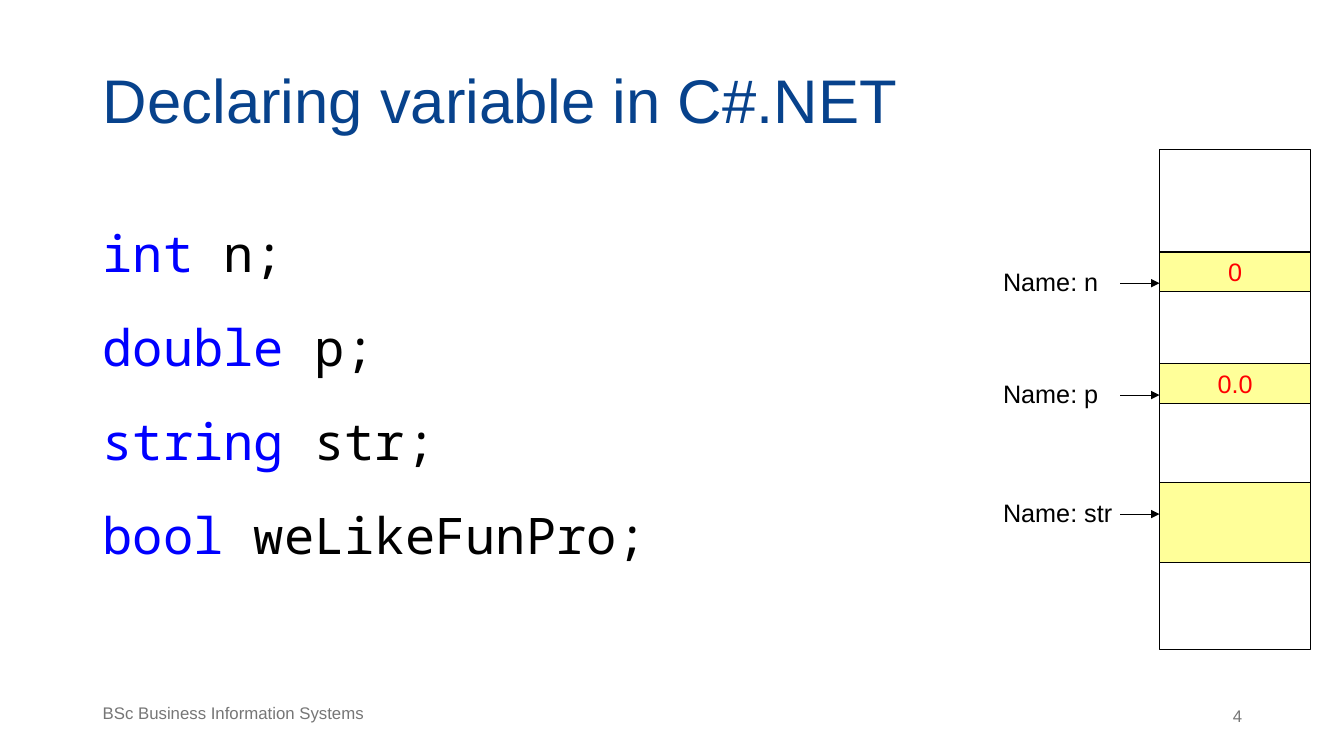
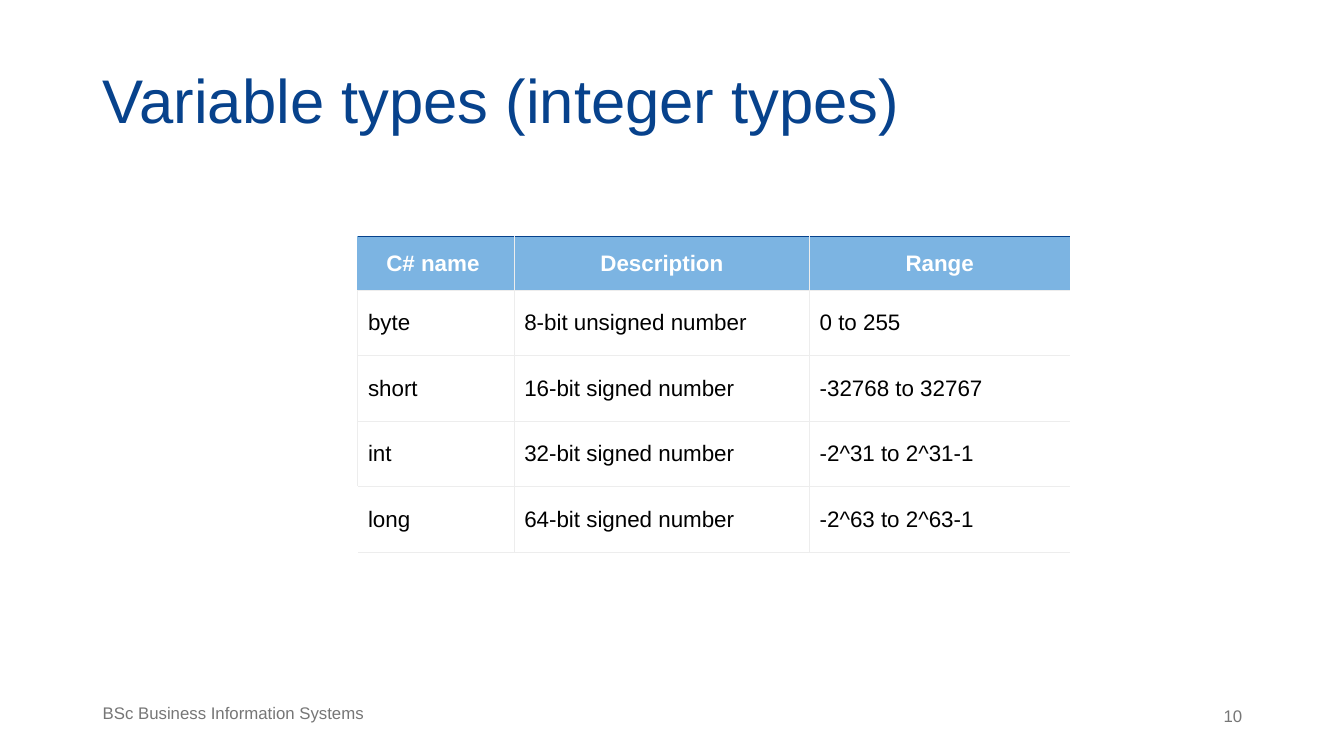
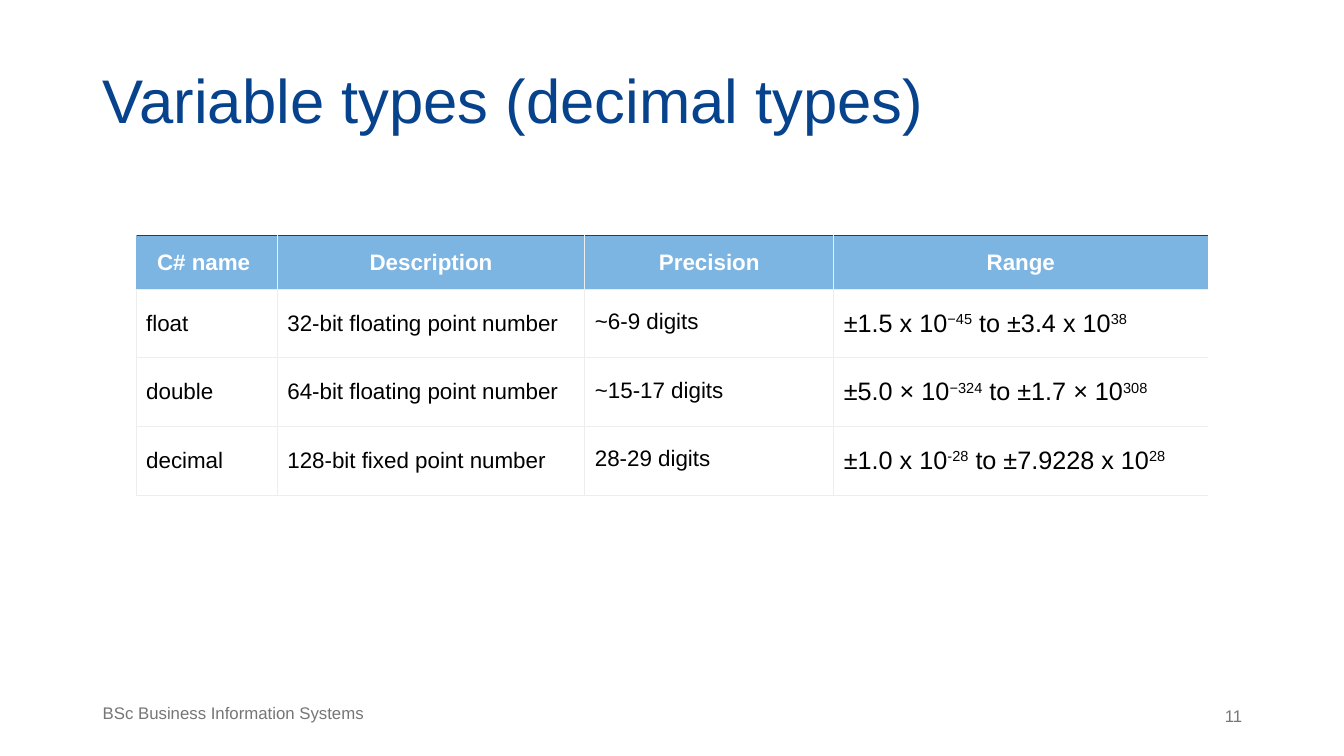
from dataclasses import dataclass
from itertools import accumulate

from lxml.etree import SubElement
from pptx import Presentation
from pptx.dml.color import RGBColor
from pptx.enum.shapes import MSO_CONNECTOR, MSO_SHAPE
from pptx.enum.text import MSO_ANCHOR, MSO_AUTO_SIZE, PP_ALIGN
from pptx.oxml.ns import qn
from pptx.util import Emu, Pt

SCALE = 9144  # EMU per px, 100 px to the inch
FONT, MONO = "Arial", "Noto Sans Mono"
HUES = {
    "title": "07428C", "foot": "767676", "key": "0000FF", "ink": "000000",
    "value": "FF0000", "slot": "FFFF99", "head": "7CB4E2", "rule": "EDEDED",
    "white": "FFFFFF",
}
LEFT = 92
TOP, MID, LOW = MSO_ANCHOR.TOP, MSO_ANCHOR.MIDDLE, MSO_ANCHOR.BOTTOM


@dataclass
class Run:
    text: str
    hue: str = ""
    high: bool = False


@dataclass
class Slot:
    name: str
    value: str
    top: int
    height: int = 39


@dataclass
class Grid:
    left: int
    top: int
    cols: list[int]
    row: int
    data: list[list]
    mid: int = 0  # leading columns centred vertically
    big: int = -1  # column in larger type
    end: str = "rule"  # left border of the last row


def px(num: int) -> Emu:
    return Emu(num * SCALE)


def rgb(hue: str) -> RGBColor:
    return RGBColor.from_string(HUES[hue])


def write(frame, *lines, size=18, hue="ink", font=FONT, bold=False,
          align=PP_ALIGN.LEFT, lead=1.0, gap=0) -> None:
    """Fill a text frame; a line is a string or a list of runs."""
    for i, line in enumerate(lines):
        para = frame.paragraphs[0] if i == 0 else frame.add_paragraph()
        para.alignment, para.line_spacing = align, lead
        para.space_before = Pt(gap)
        for part in [Run(line)] if isinstance(line, str) else line:
            run = para.add_run()
            run.text = part.text
            run.font.size, run.font.name, run.font.bold = Pt(size), font, bold
            run.font.color.rgb = rgb(part.hue or hue)
            if part.high:
                run.font._element.set("baseline", "30000")


def setup(frame, pad=(10, 5), anchor=TOP, wrap=True) -> None:
    frame.auto_size = MSO_AUTO_SIZE.NONE
    frame.word_wrap, frame.vertical_anchor = wrap, anchor
    frame.margin_left = frame.margin_right = px(pad[0])
    frame.margin_top = frame.margin_bottom = px(pad[1])


def label(slide, box: tuple, *lines, pad=(10, 5), **look) -> None:
    frame = slide.shapes.add_textbox(*map(px, box)).text_frame
    setup(frame, pad)
    write(frame, *lines, **look)


def page(deck, title: str, num: int, width: int = 1111):
    """Add a slide with title, footer and page number."""
    slide = deck.slides.add_slide(deck.slide_layouts[5])
    head = slide.shapes.title
    head.left, head.top, head.width, head.height = map(px, (LEFT, 52, width, 94))
    setup(head.text_frame, (10, 10), LOW)
    write(head.text_frame, title, size=44, hue="title", lead=0.9)
    label(slide, (LEFT, 694, 339, 41), "BSc Business Information Systems",
          size=12, hue="foot", lead=0.9)
    label(slide, (1019, 695, 223, 40), str(num), size=12, hue="foot",
          align=PP_ALIGN.RIGHT)
    return slide


def block(slide, box: tuple, text: str = "", fill: str = "") -> None:
    shape = slide.shapes.add_shape(MSO_SHAPE.RECTANGLE, *map(px, box))
    shape.shadow.inherit = False
    shape.line.color.rgb, shape.line.width = rgb("ink"), Pt(0.75)
    if fill:
        shape.fill.solid()
        shape.fill.fore_color.rgb = rgb(fill)
    else:
        shape.fill.background()
    if text:
        setup(shape.text_frame, anchor=MID, wrap=False)
        write(shape.text_frame, text, hue="value", align=PP_ALIGN.CENTER)


def arrow(slide, start: int, end: int, y: int) -> None:
    line = slide.shapes.add_connector(
        MSO_CONNECTOR.STRAIGHT, px(start), px(y), px(end), px(y))
    line.line.color.rgb, line.line.width = rgb("ink"), Pt(0.75)
    SubElement(line.line._get_or_add_ln(), qn("a:tailEnd"), type="triangle")
    SubElement(line._element.spPr, qn("a:effectLst"))


def memory(slide, slots: list[Slot]) -> None:
    """Draw the memory column with its named slots."""
    left, width = 1150, 150
    block(slide, (left, 148, width, 496))
    for slot in slots:
        block(slide, (left, slot.top, width, slot.height), slot.value, "slot")
        arrow(slide, 1111, left, slot.top + 31)
        label(slide, (985, slot.top + 9, 142, 40), f"Name: {slot.name}")


def edge(cell, side: str, hue: str, width: float) -> None:
    line = SubElement(cell._tc.get_or_add_tcPr(), qn(f"a:ln{side}"),
                      w=str(Pt(width)))
    if hue:
        fill = SubElement(line, qn("a:solidFill"))
        SubElement(fill, qn("a:srgbClr"), val=HUES[hue])
    else:
        SubElement(line, qn("a:noFill"))


def table(slide, grid: Grid) -> None:
    rows, cols = len(grid.data), len(grid.cols)
    highs = [53] + [grid.row] * (rows - 1)
    box = (grid.left, grid.top, sum(grid.cols), sum(highs))
    tab = slide.shapes.add_table(rows, cols, *map(px, box)).table
    tab.first_row = tab.horz_banding = False
    for col, wide in zip(tab.columns, grid.cols):
        col.width = px(wide)
    for row, high in zip(tab.rows, highs):
        row.height = px(high)
    for r, line in enumerate(grid.data):
        head = r == 0
        side = "head" if head else grid.end if r == rows - 1 else "rule"
        for c, text in enumerate(line):
            cell = tab.cell(r, c)
            # Borders come before the fill
            edge(cell, "L", "rule" if c else side, 1 if c else 0.75)
            edge(cell, "R", "rule" if c < cols - 1 else "", 1)
            edge(cell, "T", "title" if head else "rule", 0.75)
            edge(cell, "B", "rule", 0.75)
            cell.margin_left = cell.margin_right = px(14 if head else 10)
            cell.margin_top = cell.margin_bottom = px(14 if head else 20)
            cell.vertical_anchor = MID if head or c < grid.mid else TOP
            if head:
                cell.fill.solid()
                cell.fill.fore_color.rgb = rgb("head")
                write(cell.text_frame, text, size=16, hue="white", bold=True,
                      align=PP_ALIGN.CENTER)
            else:
                cell.fill.background()
                write(cell.text_frame, text, size=18 if c == grid.big else 16)


def span(low: str, least: str, high: str, most: str) -> list[Run]:
    """Range between two powers of ten."""
    return [Run(low), Run(least, high=True),
            Run(f"\N{NO-BREAK SPACE}to {high}"), Run(most, high=True)]


def main() -> None:
    deck = Presentation()
    deck.slide_width, deck.slide_height = px(1333), px(750)

    # Declarations and memory
    slide = page(deck, "Declaring variable in C#.NET", 4, 938)
    code = [("int", " n;"), ("double", " p;"), ("string", " str;"),
            ("bool", " weLikeFunPro;")]
    label(slide, (LEFT, 188, 822, 457),
          *[[Run(kind, "key"), Run(name)] for kind, name in code],
          pad=(10, 10), size=36, font=MONO, lead=1.37, gap=8)
    memory(slide, [Slot("n", "0", 250), Slot("p", "0.0", 361),
                   Slot("str", "", 479, 79)])

    # Integer types
    slide = page(deck, "Variable types (integer types)", 10)
    table(slide, Grid(355, 235, [155, 293, 258], 65, [
        ["C# name ", "Description", "Range"],
        ["byte", "8-bit unsigned number", "0 to 255"],
        ["short", "16-bit signed number", "-32768 to 32767"],
        ["int", "32-bit signed number", "-2^31 to 2^31-1"],
        ["long", "64-bit signed number", "-2^63 to 2^63-1"],
    ], end="white"))

    # Decimal types
    slide = page(deck, "Variable types (decimal types)", 11)
    table(slide, Grid(135, 234, [140, 305, 247, 371], 68, [
        ["C# name ", "Description", "Precision", "Range"],
        ["float", "32-bit floating point number", "~6-9 digits",
         span("±1.5 x 10", "−45", "±3.4 x 10", "38")],
        ["double", "64-bit floating point number", "~15-17 digits",
         span("±5.0 × 10", "−324", "±1.7 × 10", "308")],
        ["decimal", "128-bit fixed point number", "28-29 digits",
         span("±1.0 x 10", "-28", "±7.9228 x 10", "28")],
    ], mid=2, big=3))

    deck.save("out.pptx")


if __name__ == "__main__":
    main()
